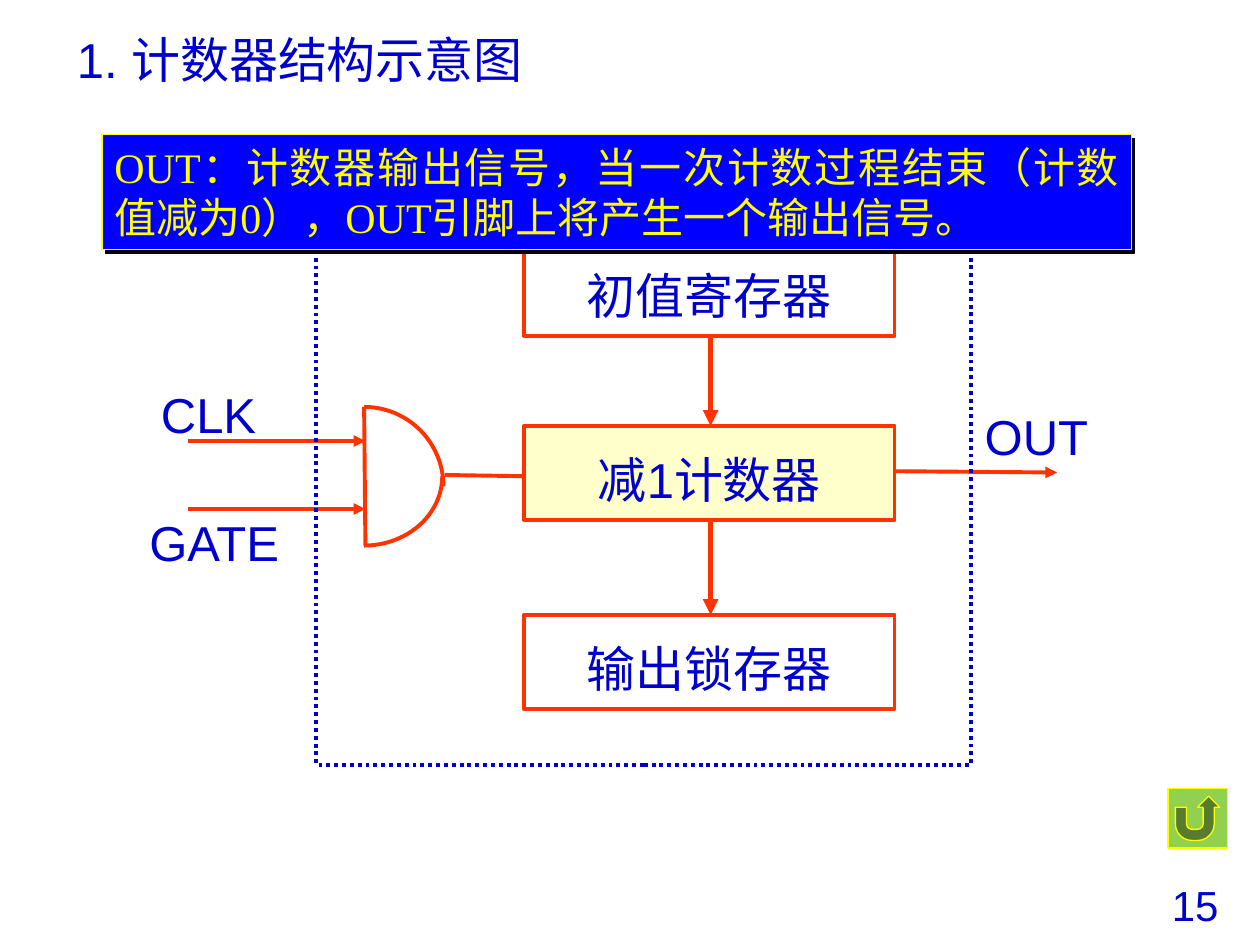
import math

from lxml import etree
from pptx import Presentation
from pptx.dml.color import RGBColor
from pptx.enum.dml import MSO_LINE
from pptx.enum.shapes import MSO_CONNECTOR, MSO_SHAPE
from pptx.enum.text import MSO_ANCHOR, PP_ALIGN
from pptx.oxml.ns import qn
from pptx.util import Inches, Pt

CENTER, LEFT, JUSTIFY = PP_ALIGN.CENTER, PP_ALIGN.LEFT, PP_ALIGN.JUSTIFY
TOP, MIDDLE, BOTTOM = MSO_ANCHOR.TOP, MSO_ANCHOR.MIDDLE, MSO_ANCHOR.BOTTOM
RECTANGLE = MSO_SHAPE.RECTANGLE
RETURN_BUTTON = MSO_SHAPE.ACTION_BUTTON_RETURN
STRAIGHT = MSO_CONNECTOR.STRAIGHT
DOTTED = MSO_LINE.ROUND_DOT

COLORS = {
    "text": "0000CC",
    "wire": "FF3300",
    "counter": "FFFFCC",
    "callout": "0000FF",
    "yellow": "FFFF00",
    "button": "92D050",
    "shadow": "000000",
}
LATIN = "Arial"
CHINESE = "Noto Sans CJK SC"
SERIF = "Times New Roman"
BLOCK_LEFT, BLOCK_WIDTH, BLOCK_HEIGHT = 4.16, 2.94, 0.75
BLOCK_CENTER = 5.64
BLOCKS = [
    ("初值寄存器", 1.92, None),
    ("减1计数器", 3.38, "counter"),
    ("输出锁存器", 4.88, None),
]
LABELS = [
    ("GATE", 0.92, 4.06, 1.56, 0.52),
    ("CLK", 1.03, 3.04, 1.25, 0.48),
    ("OUT", 7.68, 3.22, 1.09, 0.53),
]
CALLOUT = "OUT：计数器输出信号，当一次计数过程结束（计数值减为0），OUT引脚上将产生一个输出信号。"


def rgb(name):
    """Return the named colour."""
    return RGBColor.from_string(COLORS[name])


def write(shape, text, size=28, font=LATIN, color="text", align=CENTER,
          anchor=TOP, spacing=None, inset=None):
    """Put one formatted paragraph into a shape."""
    frame = shape.text_frame
    frame.word_wrap = True
    frame.vertical_anchor = anchor
    if inset is not None:
        frame.margin_left = frame.margin_right = Inches(inset)
        frame.margin_top = frame.margin_bottom = Inches(inset)
    paragraph = frame.paragraphs[0]
    paragraph.alignment = align
    if spacing:
        paragraph.line_spacing = spacing
    run = paragraph.add_run()
    run.text = text
    run.font.size = Pt(size)
    run.font.name = font
    run.font.color.rgb = rgb(color)
    east_asian = etree.SubElement(run.font._element, qn("a:ea"))
    east_asian.set("typeface", CHINESE)


def add_label(slide, text, left, top, width, height, **style):
    """Add a text box."""
    box = slide.shapes.add_textbox(
        Inches(left), Inches(top), Inches(width), Inches(height))
    write(box, text, **style)


def outline(shape, line, weight, fill=None):
    """Set the line and fill of a shape and remove its shadow."""
    shape.shadow.inherit = False
    if fill:
        shape.fill.solid()
        shape.fill.fore_color.rgb = rgb(fill)
    else:
        shape.fill.background()
    shape.line.color.rgb = rgb(line)
    shape.line.width = Pt(weight)


def add_box(slide, left, top, width, height, line, weight, fill=None, kind=RECTANGLE):
    """Add a preset shape."""
    shape = slide.shapes.add_shape(
        kind, Inches(left), Inches(top), Inches(width), Inches(height))
    outline(shape, line, weight, fill)
    return shape


def add_wire(slide, start, end, weight=2.25, arrow=True):
    """Add a straight signal line, with an arrowhead if wanted."""
    wire = slide.shapes.add_connector(STRAIGHT, *map(Inches, start + end))
    wire.line.color.rgb = rgb("wire")
    wire.line.width = Pt(weight)
    if arrow:
        head = etree.SubElement(wire.line._get_or_add_ln(), qn("a:tailEnd"))
        head.set("type", "triangle")
    etree.SubElement(wire._element.spPr, qn("a:effectLst"))


def add_quarter_arc(slide, center_x, center_y, radius_x, radius_y):
    """Add a quarter ellipse to the right of a centre; negative radius_y goes up."""
    steps = 24
    angles = [math.pi / 2 * step / steps for step in range(steps + 1)]
    points = [(Inches(center_x + radius_x * math.sin(angle)),
               Inches(center_y + radius_y * math.cos(angle))) for angle in angles]
    builder = slide.shapes.build_freeform(*points[0])
    builder.add_line_segments(points[1:], close=False)
    outline(builder.convert_to_shape(), "wire", 2.25)


def add_hard_shadow(shape):
    """Give a shape a solid shadow to the lower right."""
    effects = shape._element.spPr.find(qn("a:effectLst"))
    shadow = etree.SubElement(effects, qn("a:outerShdw"))
    shadow.set("dist", str(Pt(2.8)))
    shadow.set("dir", "2700000")
    shadow.set("algn", "ctr")
    shadow.set("rotWithShape", "0")
    etree.SubElement(shadow, qn("a:srgbClr")).set("val", COLORS["shadow"])


def add_title(slide, text):
    """Place and fill the title placeholder."""
    title = slide.shapes.title
    title.left, title.top = Inches(0.51), Inches(0.17)
    title.width, title.height = Inches(6.92), Inches(0.58)
    write(title, text, align=LEFT, anchor=BOTTOM)


def add_gate(slide):
    """Draw the AND gate with its inputs and output."""
    add_quarter_arc(slide, 2.89, 3.86, 0.63, -0.63)
    add_quarter_arc(slide, 2.89, 3.78, 0.62, 0.55)
    add_wire(slide, (2.89, 3.23), (2.9, 4.33), arrow=False)
    add_wire(slide, (3.53, 3.77), (4.19, 3.78), arrow=False)
    for top in (3.5, 4.04):
        add_wire(slide, (1.49, top), (2.9, top))


def add_blocks(slide):
    """Draw the column of registers and the counter."""
    for text, top, fill in BLOCKS:
        block = add_box(slide, BLOCK_LEFT, top, BLOCK_WIDTH, BLOCK_HEIGHT,
                        "wire", 2.25, fill)
        write(block, text, anchor=MIDDLE, spacing=1.2, inset=0.01)
    for (_, upper, _), (_, lower, _) in zip(BLOCKS, BLOCKS[1:]):
        add_wire(slide, (BLOCK_CENTER, upper + BLOCK_HEIGHT),
                 (BLOCK_CENTER, lower), weight=3)


def main():
    """Build the counter structure slide."""
    presentation = Presentation()
    presentation.slide_width, presentation.slide_height = Inches(10), Inches(7.5)
    slide = presentation.slides.add_slide(presentation.slide_layouts[5])
    add_title(slide, "1. 计数器结构示意图")
    add_label(slide, "15", 9.09, 6.98, 0.79, 0.47, size=24, spacing=0.9)
    add_gate(slide)
    add_wire(slide, (7.1, 3.74), (8.39, 3.75))
    frame = add_box(slide, 2.51, 1.55, 5.2, 4.52, "text", 2.25)
    frame.line.dash_style = DOTTED
    for label in LABELS:
        add_label(slide, *label, inset=0.01)
    add_blocks(slide)
    callout = add_box(slide, 0.81, 1.07, 8.17, 0.91, "yellow", 0.75, "callout")
    add_hard_shadow(callout)
    write(callout, CALLOUT, size=24, font=SERIF, color="yellow", align=JUSTIFY)
    add_box(slide, 9.27, 6.26, 0.47, 0.47, "yellow", 0.75, "button", RETURN_BUTTON)
    presentation.save("out.pptx")


if __name__ == "__main__":
    main()
